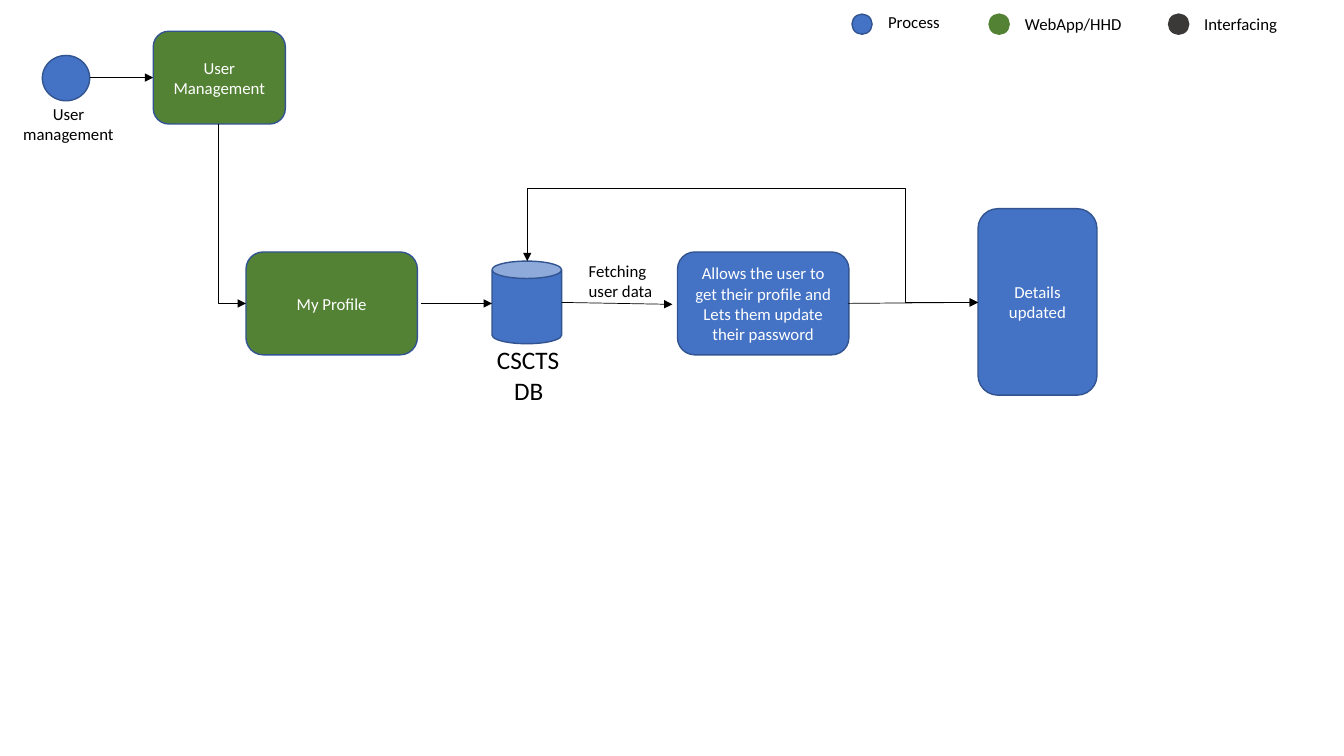
import pptx
import pptx.util
import pptx.dml.color
import pptx.enum.shapes
import pptx.enum.text
import pptx.oxml
import pptx.oxml.ns

Inches, Pt = pptx.util.Inches, pptx.util.Pt
SHAPE = pptx.enum.shapes.MSO_SHAPE
LINK = pptx.enum.shapes.MSO_CONNECTOR
ALIGN = pptx.enum.text.PP_ALIGN
FONT = "Calibri"
COLORS = {"process": "4472C4", "webapp": "548235", "interface": "3B3838",
          "outline": "325491", "white": "FFFFFF", "black": "000000"}


def rgb(name):
    """Return the named colour."""
    return pptx.dml.color.RGBColor.from_string(COLORS[name])


def write(tf, lines, size, color, align):
    """Write one paragraph per line into a text frame."""
    tf.word_wrap = True
    tf.text = "\n".join(lines)
    for p in tf.paragraphs:
        p.alignment = align
        p.font.name, p.font.size = FONT, Pt(size)
        p.font.color.rgb = rgb(color)


def add_node(slide, kind, box, fill, lines=(), outline="outline"):
    """Add a filled flowchart shape with optional centred text."""
    sp = slide.shapes.add_shape(kind, *map(Inches, box))
    sp.shadow.inherit = False
    sp.fill.solid()
    sp.fill.fore_color.rgb = rgb(fill)
    sp.line.color.rgb = rgb(outline)
    sp.line.width = Pt(1)
    if lines:
        write(sp.text_frame, lines, 12, "white", ALIGN.CENTER)
        sp.text_frame.vertical_anchor = pptx.enum.text.MSO_ANCHOR.MIDDLE
    return sp


def add_label(slide, box, lines, size=12, align=ALIGN.CENTER):
    """Add a black caption that grows with its text."""
    tb = slide.shapes.add_textbox(*map(Inches, box))
    write(tb.text_frame, lines, size, "black", align)
    tb.text_frame.auto_size = pptx.enum.text.MSO_AUTO_SIZE.SHAPE_TO_FIT_TEXT
    return tb


def add_arrow(slide, start, end, kind=LINK.STRAIGHT, ends=("tailEnd",)):
    """Add a thin black connector with triangle heads at the given ends."""
    cxn = slide.shapes.add_connector(kind, *map(Inches, start + end))
    cxn.line.color.rgb = rgb("black")
    cxn.line.width = Pt(0.5)
    ln = cxn.line._get_or_add_ln()
    for tag in ends:
        head = pptx.oxml.ns.qn("a:" + tag)
        ln.append(ln.makeelement(head, {"type": "triangle"}))
    sp_pr = cxn._element.spPr
    sp_pr.append(sp_pr.makeelement(pptx.oxml.ns.qn("a:effectLst"), {}))
    return cxn


def add_bent_arrow(slide, start, end, preset, adjusts=(), ends=("tailEnd",)):
    """Add an elbow from start to end that leaves vertically."""
    (x1, y1), (x2, y2) = start, end
    mid_x, mid_y = (x1 + x2) / 2, (y1 + y2) / 2
    half_w, half_h = (y2 - y1) / 2, (x2 - x1) / 2
    # A mirrored elbow, then turned by 270 degrees about its centre
    cxn = add_arrow(slide, (mid_x + half_w, mid_y - half_h),
                    (mid_x - half_w, mid_y + half_h), LINK.ELBOW, ends)
    sp_pr = cxn._element.spPr
    sp_pr.find(pptx.oxml.ns.qn("a:xfrm")).set("rot", str(270 * 60000))
    geom = sp_pr.find(pptx.oxml.ns.qn("a:prstGeom"))
    geom.set("prst", preset)
    guides = geom.find(pptx.oxml.ns.qn("a:avLst"))
    for i, value in enumerate(adjusts, 1):
        guides.append(guides.makeelement(
            pptx.oxml.ns.qn("a:gd"),
            {"name": f"adj{i}", "fmla": f"val {round(value * 100000)}"}))


def add_entry(slide, x, y):
    """Add the start circle, its caption and the first screen."""
    add_node(slide, SHAPE.FLOWCHART_CONNECTOR, (x + 0.44, y + 0.24, 0.47, 0.45), "process")
    add_label(slide, (x, y + 0.67, 1.4, 0.5), ["User management"])
    add_arrow(slide, (x + 0.91, y + 0.46), (x + 1.54, y + 0.46))
    add_node(slide, SHAPE.FLOWCHART_ALTERNATE_PROCESS, (x + 1.54, y, 1.31, 0.92),
             "webapp", ["User Management"])


def add_profile_flow(slide, x, y):
    """Add the row from the profile screen to the updated details."""
    box = SHAPE.FLOWCHART_ALTERNATE_PROCESS
    add_node(slide, box, (x, y, 1.7, 1.02), "webapp", ["My Profile"])
    can = add_node(slide, SHAPE.CAN, (x + 2.44, y + 0.09, 0.69, 0.82), "process")
    can.adjustments[0] = 0.25
    add_node(slide, box, (x + 4.28, y, 1.7, 1.02), "process",
             ["Allows the user to get their profile and",
              "Lets them update their password"])
    add_node(slide, box, (x + 7.26, y - 0.43, 1.18, 1.85), "process", ["Details updated"])
    for x1, y1, x2, y2 in ((1.74, 0.51, 2.44, 0.51), (3.13, 0.5, 4.23, 0.52),
                           (5.97, 0.51, 7.26, 0.5)):
        add_arrow(slide, (x + x1, y + y1), (x + x2, y + y2))
    add_bent_arrow(slide, (x + 2.79, y + 0.09), (x + 7.26, y + 0.5),
                   "bentConnector4", (-1.77, 0.84), ("headEnd", "tailEnd"))
    db = add_label(slide, (x + 2.39, y + 0.87, 1.19, 0.71), ["CSCTS", "DB"], 18, ALIGN.LEFT)
    db.text_frame.paragraphs[1]._p.get_or_add_pPr().set("marL", str(Inches(0.17)))
    add_label(slide, (x + 3.3, y + 0.04, 0.95, 0.5), ["Fetching user data"], align=ALIGN.LEFT)


def add_legend(slide, x, y):
    """Add the colour key, one dot and caption per category."""
    for dot, left, top, fill, outline, name in (
            (0, 0.03, -0.07, "process", "outline", "Process"),
            (1.36, 1.61, -0.05, "webapp", "webapp", "WebApp/HHD"),
            (3.14, 3.27, -0.05, "interface", "interface", "Interfacing")):
        add_node(slide, SHAPE.FLOWCHART_CONNECTOR, (x + dot, y, 0.2, 0.2), fill, outline=outline)
        add_label(slide, (x + left, y + top, 1.17, 0.3), [name])


prs = pptx.Presentation()
prs.slide_width, prs.slide_height = Inches(13.33), Inches(7.5)
slide = prs.slides.add_slide(prs.slide_layouts[6])
add_entry(slide, -0.02, 0.31)
add_profile_flow(slide, 2.44, 2.5)
add_bent_arrow(slide, (2.17, 1.23), (2.44, 3.01), "bentConnector2")
add_legend(slide, 8.45, 0.14)
prs.save("out.pptx")
